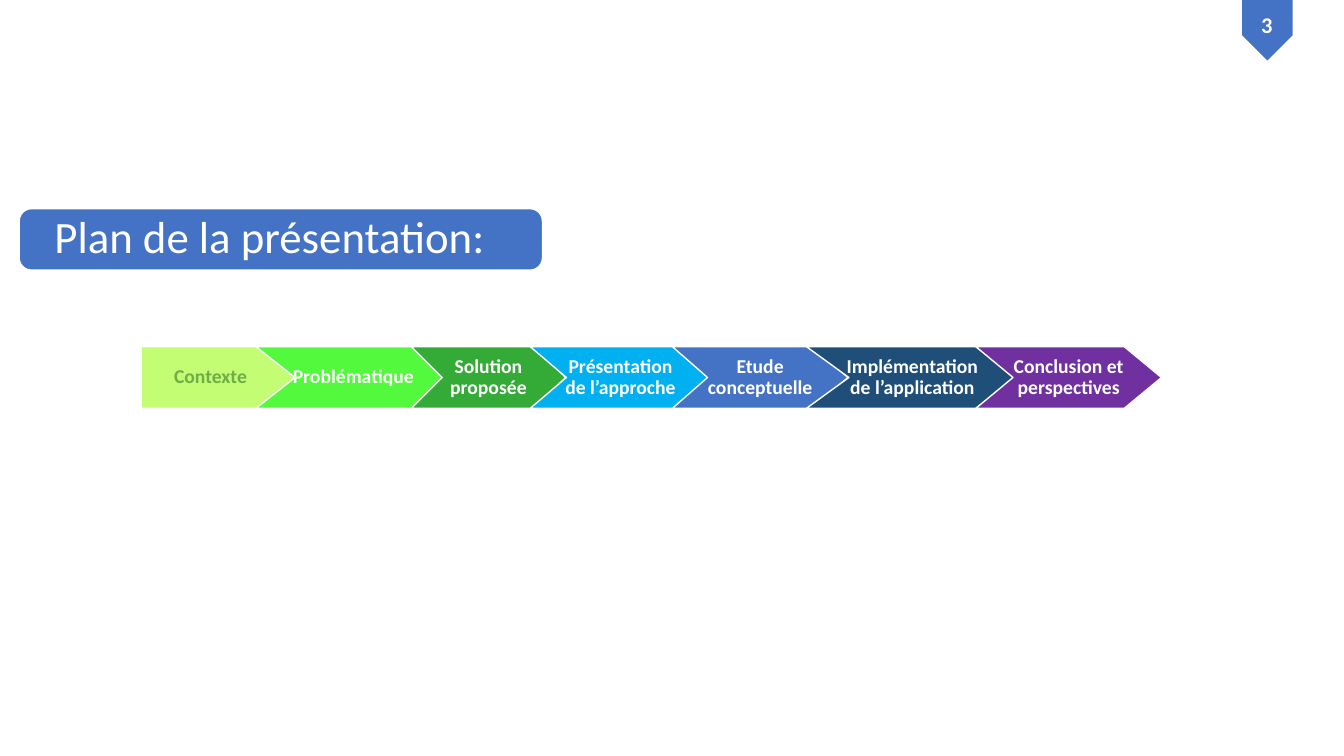
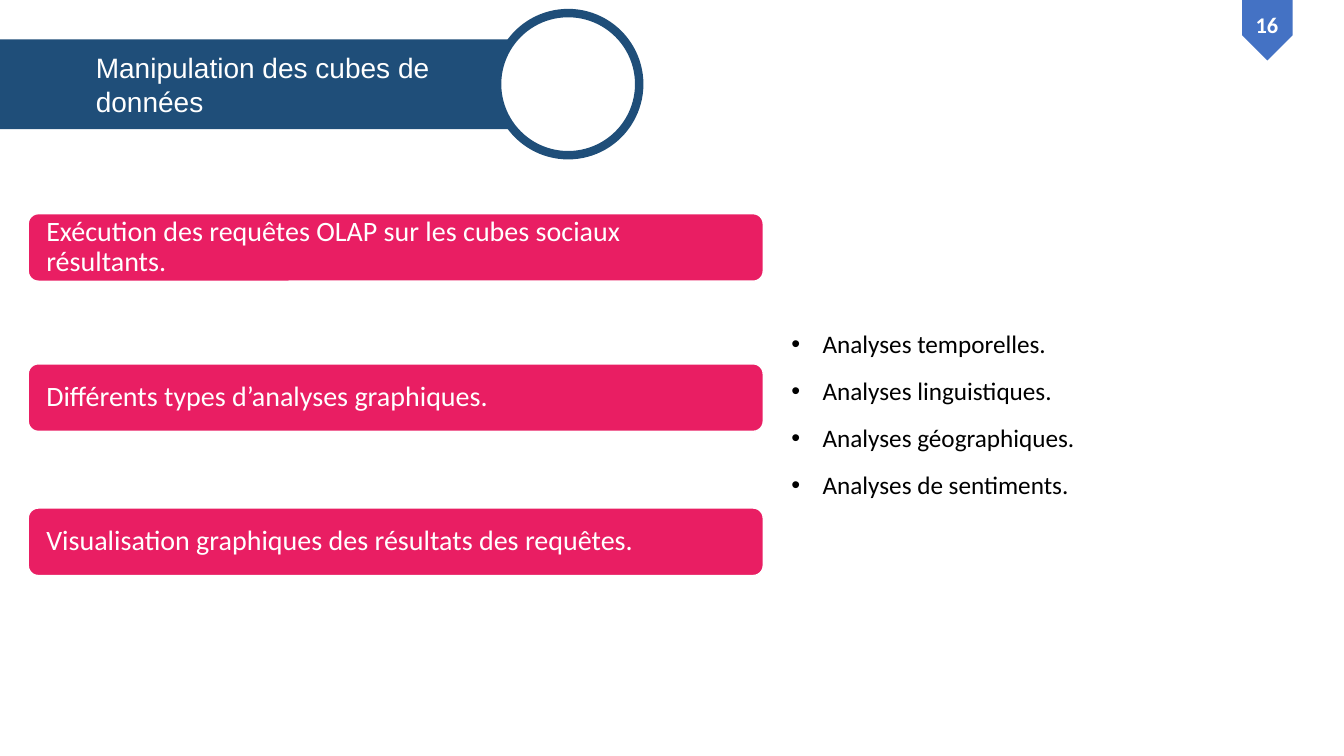
import dataclasses

import lxml.etree
import pptx
import pptx.dml.color
import pptx.enum.shapes
import pptx.enum.text
import pptx.oxml.ns
import pptx.util

Inches = pptx.util.Inches
Pt = pptx.util.Pt
Shape = pptx.enum.shapes.MSO_SHAPE
Align = pptx.enum.text.PP_ALIGN


@dataclasses.dataclass(frozen=True)
class Theme:
    white: str = "FFFFFF"
    black: str = "000000"
    blue: str = "4472C4"
    navy: str = "1F4E79"
    pink: str = "E91E63"
    lime: str = "C2FD73"
    olive: str = "70AD47"
    bright_green: str = "53F93D"
    green: str = "34AA37"
    sky: str = "00B0F0"
    purple: str = "7030A0"
    body_font: str = "Calibri"
    title_font: str = "Arial"
    plan_title_size: int = 32
    heading_size: int = 20
    bullet_size: int = 18
    number_size: int = 16
    step_size: int = 14


theme = Theme()


def add_block(page, kind, left, top, width, height, fill, line=None, weight=1):
    block = page.shapes.add_shape(kind, Inches(left), Inches(top), Inches(width), Inches(height))
    block.shadow.inherit = False
    block.fill.solid()
    block.fill.fore_color.rgb = pptx.dml.color.RGBColor.from_string(fill)
    if line:
        block.line.color.rgb = pptx.dml.color.RGBColor.from_string(line)
        block.line.width = Pt(weight)
    else:
        block.line.fill.background()
    return block


def write(box, text, size, color=theme.white, font=theme.body_font, bold=False,
          align=Align.LEFT, spacing=1.0, margins=(0.1, 0.05), wrap=True):
    """Fill a shape with uniformly formatted text; margins are (side, top and bottom)."""
    frame = box.text_frame
    frame.text = text
    frame.word_wrap = wrap
    frame.auto_size = pptx.enum.text.MSO_AUTO_SIZE.NONE
    frame.vertical_anchor = pptx.enum.text.MSO_ANCHOR.MIDDLE
    frame.margin_left = frame.margin_right = Inches(margins[0])
    frame.margin_top = frame.margin_bottom = Inches(margins[1])
    for para in frame.paragraphs:
        para.alignment = align
        para.line_spacing = spacing
        para.font.name = font
        para.font.size = Pt(size)
        para.font.bold = bold
        para.font.color.rgb = pptx.dml.color.RGBColor.from_string(color)


deck = pptx.Presentation()
deck.slide_width = Inches(13.33)
deck.slide_height = Inches(7.5)
title_only = deck.slide_layouts[5]
plan_page = deck.slides.add_slide(title_only)
cubes_page = deck.slides.add_slide(title_only)

# Page number badges
for page, number in ((plan_page, "3"), (cubes_page, "16")):
    badge = add_block(page, Shape.PENTAGON, 12.27, 0.05, 0.6, 0.5, theme.blue)
    badge.rotation = 90
    label = page.shapes.add_textbox(Inches(12.26), Inches(0.06), Inches(0.61), Inches(0.37))
    write(label, number, theme.number_size, bold=True, align=Align.CENTER)

# Title bands, each with the title lying on top
plan_band = add_block(plan_page, Shape.ROUNDED_RECTANGLE, 0.19, 2.07, 5.19, 0.61,
                      theme.blue, theme.white)
plan_band.adjustments[0] = 0.2
cubes_band = add_block(cubes_page, Shape.RECTANGLE, 0, 0.39, 5.75, 0.89, theme.navy)
title_places = (
    (plan_page, plan_band, (0.19, 2.07, 5.19, 0.61)),
    (cubes_page, cubes_band, (0.85, 0.45, 4.56, 0.77)),
)
for page, band, place in title_places:
    title = page.shapes.title
    title.left, title.top, title.width, title.height = map(Inches, place)
    band.element.addnext(title.element)
write(plan_page.shapes.title, "Plan de la présentation:", theme.plan_title_size,
      spacing=0.9, margins=(0.35, 0))
write(cubes_page.shapes.title, "Manipulation des cubes de\ndonnées", theme.heading_size,
      font=theme.title_font)
add_block(cubes_page, Shape.OVAL, 4.93, 0.13, 1.41, 1.41, theme.white, theme.navy, 6)

# Steps of the plan: label, left, width, fill, text colour
steps = (
    ("Contexte", 1.4, 1.53, theme.lime, theme.olive),
    ("Problématique", 2.54, 1.93, theme.bright_green, theme.white),
    ("Solution\vproposée", 4.08, 1.53, theme.green, theme.white),
    ("Présentation\vde l’approche", 5.26, 1.79, theme.sky, theme.white),
    ("Etude\vconceptuelle", 6.67, 1.74, theme.blue, theme.white),
    ("Implémentation\vde l’application", 8, 2.1, theme.navy, theme.white),
    ("Conclusion et\vperspectives", 9.68, 1.84, theme.purple, theme.white),
)
step_height = 0.61
for index, (text, left, width, fill, color) in enumerate(steps):
    kind = Shape.CHEVRON if index else Shape.PENTAGON
    step = add_block(plan_page, kind, left, 3.44, width, step_height, fill, theme.white)
    step.adjustments[0] = 0.2 * width / step_height  # the point takes a fifth of the width
    write(step, text, theme.step_size, color, bold=True, align=Align.CENTER,
          spacing=0.9, margins=(0, 0), wrap=False)

# Topics about the cubes
topics = (
    (2.12, "Exécution des requêtes OLAP sur les cubes sociaux résultants."),
    (3.61, "Différents types d’analyses graphiques."),
    (5.04, "Visualisation graphiques des résultats des requêtes."),
)
for top, text in topics:
    topic = add_block(cubes_page, Shape.ROUNDED_RECTANGLE, 0.28, top, 7.29, 0.67,
                      theme.pink, theme.white)
    topic.adjustments[0] = 0.15
    write(topic, text, theme.heading_size, spacing=0.9, margins=(0.15, 0))

# Kinds of analysis
analyses = ("Analyses temporelles.", "Analyses linguistiques.",
            "Analyses géographiques.", "Analyses de sentiments.")
analysis_box = cubes_page.shapes.add_textbox(Inches(7.75), Inches(3.21), Inches(4.58), Inches(1.83))
analysis_box.text_frame.text = "\n".join(analyses)
for para in analysis_box.text_frame.paragraphs:
    properties = para._p.get_or_add_pPr()
    properties.set("marL", str(Inches(0.31)))
    properties.set("indent", str(-Inches(0.31)))
    for tag, attribute, value in (("a:buFont", "typeface", theme.title_font),
                                  ("a:buChar", "char", "•")):
        lxml.etree.SubElement(properties, pptx.oxml.ns.qn(tag)).set(attribute, value)
    para.font.name = theme.body_font
    para.font.size = Pt(theme.bullet_size)
    para.font.color.rgb = pptx.dml.color.RGBColor.from_string(theme.black)
for para in analysis_box.text_frame.paragraphs[1:]:
    para.space_before = Pt(12)
analysis_box.text_frame.word_wrap = True

deck.save("out.pptx")
